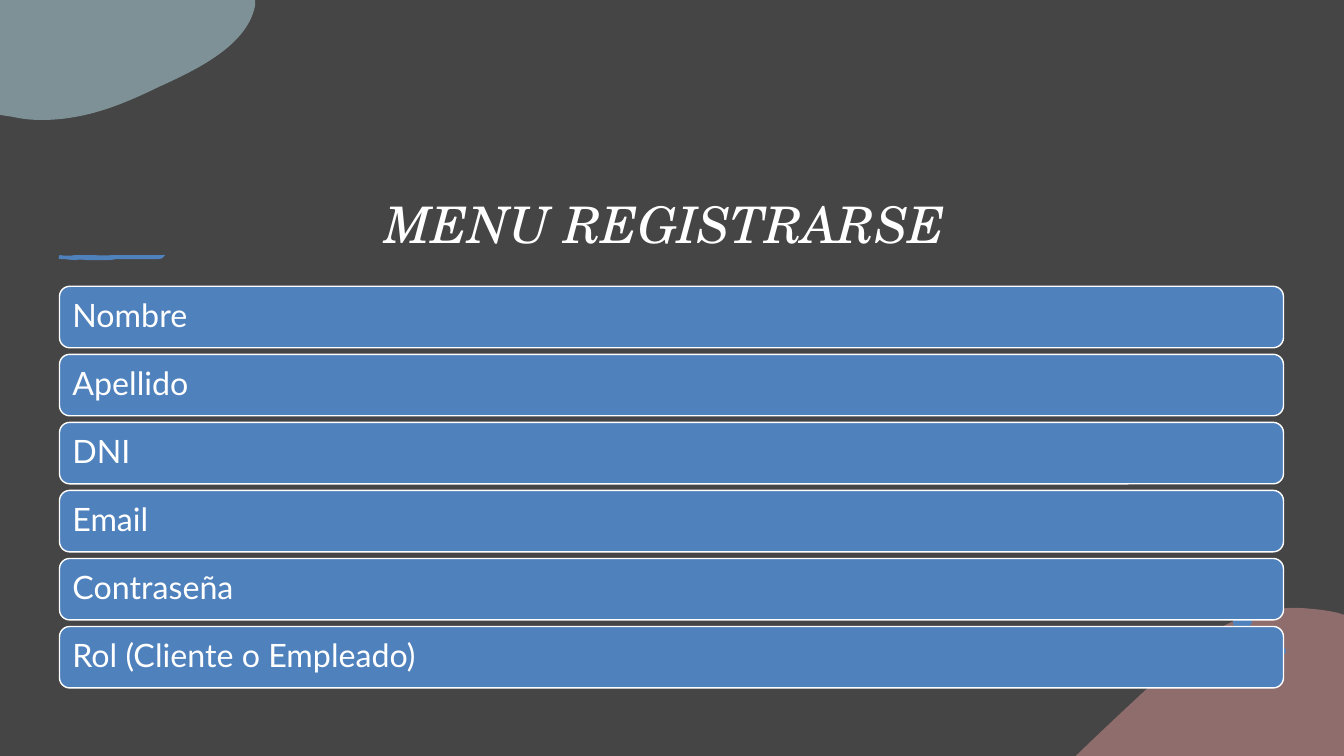
import pptx
import pptx.util
import pptx.dml.color
import pptx.enum.shapes
import pptx.enum.text
import pptx.oxml

WIDTH, HEIGHT = 13.33, 7.5
COLORS = {"background": "454545", "rose": "D99694", "ice": "B7DEE8",
          "blue": "4F81BD", "white": "FFFFFF"}
FIELDS = ["Nombre", "Apellido", "DNI", "Email", "Contraseña",
          "Rol (Cliente o Empleado)"]
LEFT, TOP = 0.59, 2.84
BAR_WIDTH, BAR_HEIGHT = 12.14, 0.61
ROW_PITCH = 4.05 / len(FIELDS)

# Each outline is a start point, then lines (x, y) or Bézier curves
# (x1, y1, x2, y2, x, y), in inches.
ROSE_BLOB = [(12.88, 6.03), (13.01, 6.04, 13.14, 6.05, 13.27, 6.08),
             (WIDTH, 6.1), (WIDTH, HEIGHT), (10.67, HEIGHT), (10.68, 7.49),
             (11.02, 7.16, 11.37, 6.84, 11.69, 6.54),
             (11.91, 6.32, 12.14, 6.19, 12.37, 6.11),
             (12.54, 6.05, 12.71, 6.03, 12.88, 6.03)]
LOWER_DOT = [(12.69, 6.4), (12.71, 6.4, 12.74, 6.42, 12.75, 6.44),
             (12.76, 6.46, 12.76, 6.48, 12.73, 6.49),
             (12.7, 6.51, 12.62, 6.51, 12.61, 6.48),
             (12.6, 6.46, 12.61, 6.44, 12.62, 6.43),
             (12.64, 6.41, 12.66, 6.4, 12.69, 6.4)]
UPPER_DOT = [(12.28, 6.13), (12.34, 6.13, 12.45, 6.13, 12.41, 6.19),
             (12.41, 6.2, 12.4, 6.21, 12.39, 6.21),
             (12.36, 6.23, 12.33, 6.25, 12.3, 6.27),
             (12.29, 6.28, 12.28, 6.29, 12.27, 6.28),
             (12.27, 6.28, 12.26, 6.27, 12.26, 6.27),
             (12.24, 6.23, 12.23, 6.2, 12.23, 6.16),
             (12.23, 6.15, 12.23, 6.14, 12.24, 6.13),
             (12.25, 6.13, 12.26, 6.13, 12.28, 6.13)]
ICE_BLOB = [(0, 0), (2.53, 0), (2.53, 0.06),
            (2.45, 0.44, 2, 0.67, 1.58, 0.86),
            (1.23, 1.03, 0.86, 1.19, 0.41, 1.19),
            (0.31, 1.19, 0.22, 1.18, 0.13, 1.16), (0, 1.14), (0, 0)]
BRUSH_STROKE = [(0.86, 2.58), (0.94, 2.58, 1.05, 2.58, 1.07, 2.58),
                (1.09, 2.58, 1.12, 2.58, 1.15, 2.57), (1.33, 2.57),
                (1.35, 2.57, 1.48, 2.57, 1.57, 2.57),
                (1.63, 2.57, 1.61, 2.54, 1.64, 2.53),
                (1.61, 2.53, 1.59, 2.53, 1.57, 2.53),
                (1.51, 2.53, 1.38, 2.53, 1.33, 2.53),
                (1.27, 2.53, 1.17, 2.53, 1.11, 2.53),
                (1.06, 2.54, 0.94, 2.53, 0.88, 2.53),
                (0.87, 2.53, 0.79, 2.53, 0.75, 2.53),
                (0.7, 2.54, 0.64, 2.54, 0.59, 2.53),
                (0.58, 2.54, 0.57, 2.58, 0.61, 2.57),
                (0.65, 2.57, 0.71, 2.58, 0.75, 2.58),
                (0.78, 2.57, 0.86, 2.58, 0.86, 2.58)]


def color(name):
    return pptx.dml.color.RGBColor.from_string(COLORS[name])


def sub(parent, tag, **attributes):
    child = pptx.oxml.xmlchemy.OxmlElement(tag)
    for name, value in attributes.items():
        child.set(name, str(value))
    parent.append(child)
    return child


def bend(s, segments):
    """Replace the straight segments that stand for curves by Bézier curves."""
    lines = list(s._element.iter(pptx.oxml.ns.qn("a:lnTo")))
    for line, segment in zip(lines, segments):
        if len(segment) == 2:
            continue
        curve = pptx.oxml.xmlchemy.OxmlElement("a:cubicBezTo")
        for x, y in zip(segment[::2], segment[1::2]):
            sub(curve, "a:pt", x=pptx.util.Inches(x) - s.left,
                y=pptx.util.Inches(y) - s.top)
        line.getparent().replace(line, curve)


def add_blob(slide, outline, fill, opacity=100):
    start, *segments = outline
    builder = slide.shapes.build_freeform(*map(pptx.util.Inches, start))
    ends = [tuple(map(pptx.util.Inches, segment[-2:])) for segment in segments]
    builder.add_line_segments(ends, close=True)
    s = builder.convert_to_shape()
    bend(s, segments)
    s.shadow.inherit = False
    s.fill.solid()
    s.fill.fore_color.rgb = color(fill)
    s.line.fill.background()
    if opacity < 100:
        rgb = next(s._element.spPr.iter(pptx.oxml.ns.qn("a:srgbClr")))
        sub(rgb, "a:alpha", val=opacity * 1000)


def write(s, text, font, size, align, anchor, italic=False):
    tf = s.text_frame
    tf.text = text
    tf.word_wrap = True
    tf.vertical_anchor = anchor
    p = tf.paragraphs[0]
    p.alignment = align
    p.line_spacing = 0.9
    r = p.runs[0]
    r.font.name = font
    r.font.size = pptx.util.Pt(size)
    r.font.italic = italic
    r.font.color.rgb = color("white")


def add_title(slide, text):
    s = slide.shapes.add_textbox(0, *map(pptx.util.Inches, (0.59, 13.19, 1.98)))
    write(s, text, "TeX Gyre Schola", 36, pptx.enum.text.PP_ALIGN.CENTER,
          pptx.enum.text.MSO_ANCHOR.BOTTOM, italic=True)


def add_field(slide, row, text):
    box = (LEFT, TOP + row * ROW_PITCH, BAR_WIDTH, BAR_HEIGHT)
    s = slide.shapes.add_shape(pptx.enum.shapes.MSO_SHAPE.ROUNDED_RECTANGLE,
                               *map(pptx.util.Inches, box))
    s.shadow.inherit = False
    s.fill.solid()
    s.fill.fore_color.rgb = color("blue")
    s.line.color.rgb = color("white")
    s.line.width = pptx.util.Pt(1)
    s.text_frame.margin_left = pptx.util.Inches(0.1)
    write(s, text, "Lato", 23, pptx.enum.text.PP_ALIGN.LEFT,
          pptx.enum.text.MSO_ANCHOR.MIDDLE)


def main():
    prs = pptx.Presentation()
    prs.slide_width = pptx.util.Inches(WIDTH)
    prs.slide_height = pptx.util.Inches(HEIGHT)
    slide = prs.slides.add_slide(prs.slide_layouts[6])
    slide.background.fill.solid()
    slide.background.fill.fore_color.rgb = color("background")

    add_blob(slide, ROSE_BLOB, "rose", opacity=50)
    add_blob(slide, LOWER_DOT, "blue")
    add_blob(slide, UPPER_DOT, "blue")
    add_blob(slide, ICE_BLOB, "ice", opacity=50)
    add_blob(slide, BRUSH_STROKE, "blue")
    add_title(slide, "MENU REGISTRARSE")
    for row, text in enumerate(FIELDS):
        add_field(slide, row, text)
    prs.save("out.pptx")


if __name__ == "__main__":
    main()
